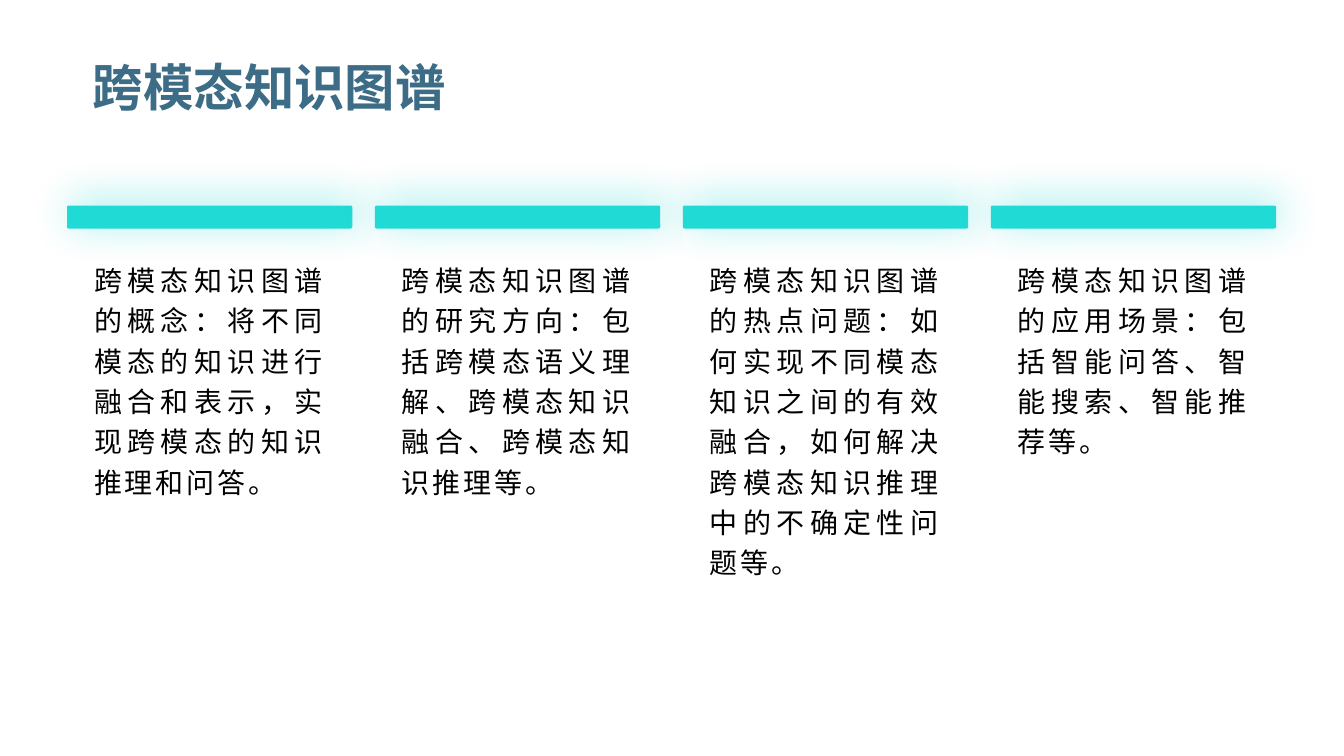
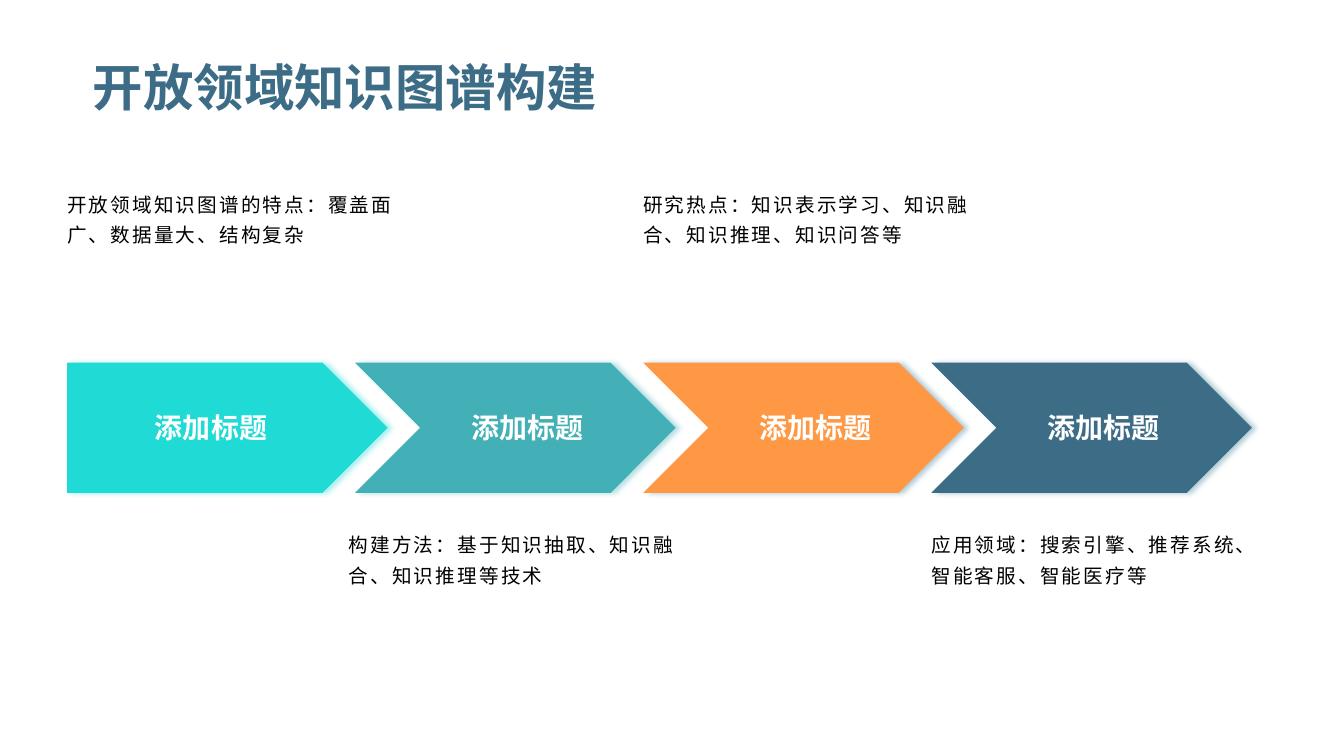
from dataclasses import dataclass

from lxml import etree
from pptx import Presentation
from pptx import util as u
from pptx.dml import color
from pptx.enum import shapes, text
from pptx.oxml import ns

# Shared look
HEADING_FONT, BODY_FONT = "Arial", "Noto Sans CJK SC"
TURQUOISE, TEAL, ORANGE, NAVY = "20DAD6", "43AFB6", "FF9845", "3D6C87"
SHADE, WHITE, BLACK = "3F8297", "FFFFFF", "000000"
LEFT = 1.69

TITLE_FORMAT = {"name": HEADING_FONT, "size": u.Pt(36), "bold": True}
LABEL_FORMAT = {"name": BODY_FONT, "size": u.Pt(20), "bold": True}
COLUMN_FORMAT = {"name": BODY_FONT, "size": u.Pt(20)}
NOTE_FORMAT = {"name": BODY_FONT, "size": u.Pt(14)}
COLUMN_PARAGRAPH = {"alignment": text.PP_ALIGN.JUSTIFY, "line_spacing": 1.2}
NOTE_PARAGRAPH = {"line_spacing": 1.3, "space_after": u.Pt(10)}


@dataclass
class Box:
    """Place and size in centimetres."""
    left: float
    top: float
    width: float
    height: float

    def lengths(self) -> tuple:
        return tuple(u.Cm(v) for v in (self.left, self.top, self.width, self.height))


@dataclass
class Shadow:
    """Opacity in percent, blur and distance in points, angle in degrees."""
    tint: str
    opacity: int
    blur: int
    distance: int
    angle: int


@dataclass
class Step:
    note: str
    fill: str
    shade: str
    note_above: bool
    note_shift: float = 0


COLUMNS = [
    "跨模态知识图谱的概念：将不同模态的知识进行融合和表示，实现跨模态的知识推理和问答。",
    "跨模态知识图谱的研究方向：包括跨模态语义理解、跨模态知识融合、跨模态知识推理等。",
    "跨模态知识图谱的热点问题：如何实现不同模态知识之间的有效融合，如何解决跨模态知识推理中的不确定性问题等。",
    "跨模态知识图谱的应用场景：包括智能问答、智能搜索、智能推荐等。",
]
STEP_LABEL = "添加标题"
STEPS = [
    Step("开放领域知识图谱的特点：覆盖面广、数据量大、结构复杂", TURQUOISE, TURQUOISE, True),
    Step("构建方法：基于知识抽取、知识融合、知识推理等技术", TEAL, TEAL, False, -0.16),
    Step("研究热点：知识表示学习、知识融合、知识推理、知识问答等", ORANGE, SHADE, True),
    Step("应用领域：搜索引擎、推荐系统、智能客服、智能医疗等", NAVY, SHADE, False),
]


def rgb(value: str) -> color.RGBColor:
    return color.RGBColor.from_string(value)


def apply(target, values: dict) -> None:
    for key, value in values.items():
        setattr(target, key, value)


def write(frame, words: str, font: dict, tint: str, paragraph: dict,
          tracking: float = 0) -> None:
    """Fill a text frame with one formatted paragraph."""
    frame.word_wrap = True
    line = frame.paragraphs[0]
    apply(line, paragraph)
    run = line.add_run()
    run.text = words
    apply(run.font, font)
    run.font.color.rgb = rgb(tint)
    properties = run.font._element
    if tracking:
        properties.set("spc", str(int(tracking * 100)))
    etree.SubElement(properties, ns.qn("a:ea"), typeface=BODY_FONT)


def add_block(slide, kind, box: Box, fill: str, shadow: Shadow):
    """Add a borderless filled shape with an outer shadow."""
    block = slide.shapes.add_shape(kind, *box.lengths())
    block.fill.solid()
    block.fill.fore_color.rgb = rgb(fill)
    block.line.fill.background()
    block.shadow.inherit = False
    effects = block._element.spPr.find(ns.qn("a:effectLst"))
    outer = etree.SubElement(
        effects, ns.qn("a:outerShdw"), blurRad=str(u.Pt(shadow.blur)),
        dist=str(u.Pt(shadow.distance)), dir=str(shadow.angle * 60000),
        algn="ctr", rotWithShape="0")
    tint = etree.SubElement(outer, ns.qn("a:srgbClr"), val=shadow.tint)
    etree.SubElement(tint, ns.qn("a:alpha"), val=str(shadow.opacity * 1000))
    return block


def add_titled_slide(deck, heading: str):
    slide = deck.slides.add_slide(deck.slide_layouts.get_by_name("Title Only"))
    title = slide.shapes.title
    place = Box(2.34, 0.99, 29.21, 2.39).lengths()
    apply(title, dict(zip(("left", "top", "width", "height"), place)))
    apply(title.text_frame, {
        "margin_left": 0, "margin_top": 0, "margin_right": 0, "margin_bottom": 0,
        "vertical_anchor": text.MSO_ANCHOR.MIDDLE})
    write(title.text_frame, heading, TITLE_FORMAT, NAVY,
          {"alignment": text.PP_ALIGN.LEFT})
    return slide


def add_column(slide, left: float, words: str) -> None:
    """Add a white card, its coloured bar and its text."""
    top, rounded = 5.18, shapes.MSO_SHAPE.ROUNDED_RECTANGLE
    card = add_block(slide, rounded, Box(left, top, 7.21, 11.13), WHITE,
                     Shadow(WHITE, 40, 22, 9, 106))
    card.adjustments[0] = 0
    bar = add_block(slide, rounded, Box(left, top, 7.19, 0.58), TURQUOISE,
                    Shadow(TURQUOISE, 45, 30, 5, 315))
    bar.adjustments[0] = 0.08
    body = slide.shapes.add_textbox(*Box(left + 0.43, 6.35, 6.33, 9.47).lengths())
    write(body.text_frame, words, COLUMN_FORMAT, BLACK, COLUMN_PARAGRAPH, 2)


def add_step(slide, left: float, step: Step, first: bool) -> None:
    """Add one arrow of the process and its note above or below."""
    kind = shapes.MSO_SHAPE.PENTAGON if first else shapes.MSO_SHAPE.CHEVRON
    arrow = add_block(slide, kind, Box(left, 9.14, 8.08, 3.28), step.fill,
                      Shadow(step.shade, 40, 4, 3, 0))
    if not first:
        apply(arrow.text_frame, {"margin_left": u.Cm(0.61), "margin_right": 0})
    arrow.text_frame.vertical_anchor = text.MSO_ANCHOR.MIDDLE
    write(arrow.text_frame, STEP_LABEL, LABEL_FORMAT, WHITE,
          {"alignment": text.PP_ALIGN.CENTER})

    top, height = (4.55, 3.94) if step.note_above else (13.13, 3.81)
    note = slide.shapes.add_textbox(
        *Box(left + step.note_shift, top, 8.71, height).lengths())
    note.text_frame.margin_left = 0
    write(note.text_frame, step.note, NOTE_FORMAT, BLACK, NOTE_PARAGRAPH, 1.5)


def main() -> None:
    deck = Presentation()
    deck.slide_width, deck.slide_height = u.Cm(33.87), u.Cm(19.05)

    # Four columns
    graph_slide = add_titled_slide(deck, "跨模态知识图谱")
    for index, words in enumerate(COLUMNS):
        add_column(graph_slide, LEFT + index * 7.76, words)

    # Four-step process
    process_slide = add_titled_slide(deck, "开放领域知识图谱构建")
    for index, step in enumerate(STEPS):
        add_step(process_slide, LEFT + index * 7.26, step, index == 0)

    deck.save("out.pptx")


if __name__ == "__main__":
    main()
